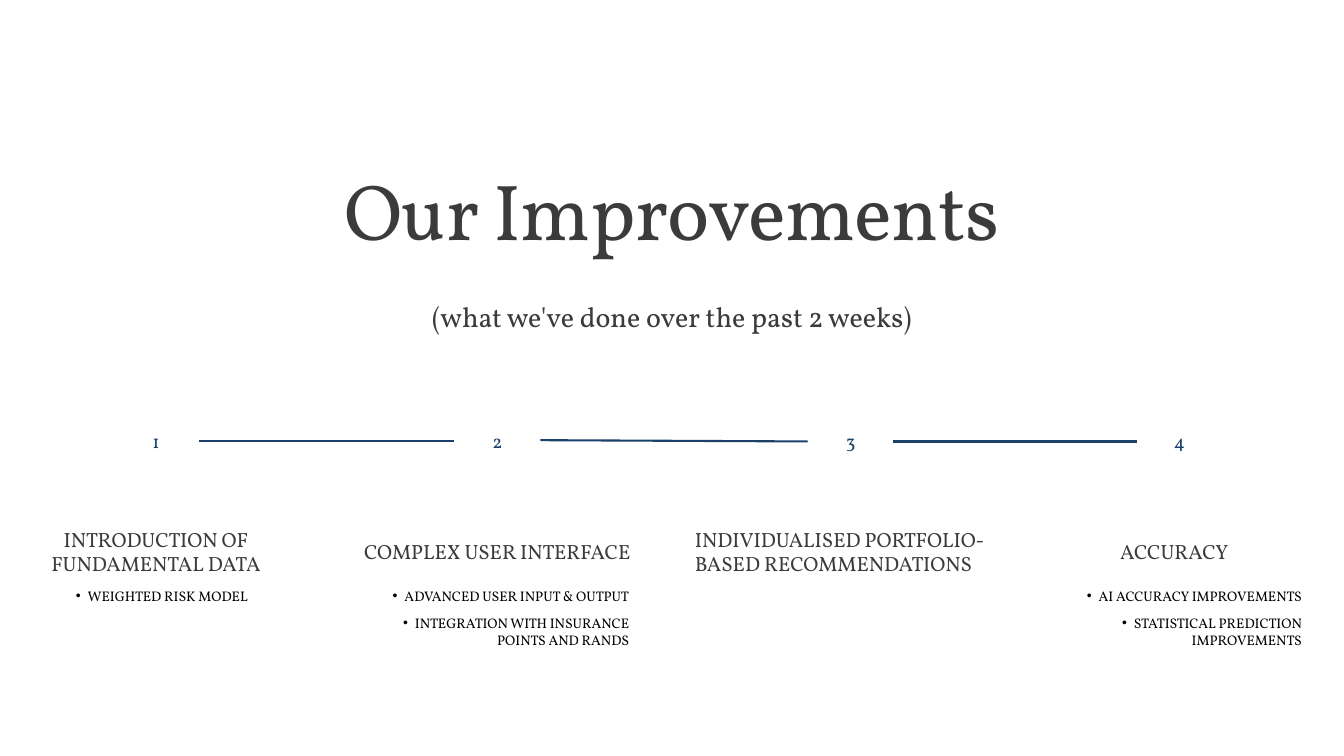
from lxml import etree
from pptx import Presentation
from pptx.dml.color import RGBColor
from pptx.enum.shapes import MSO_CONNECTOR
from pptx.enum.text import MSO_AUTO_SIZE, PP_ALIGN
from pptx.oxml.ns import qn
from pptx.util import Pt

LEFT, CENTER, RIGHT = PP_ALIGN.LEFT, PP_ALIGN.CENTER, PP_ALIGN.RIGHT
STRAIGHT = MSO_CONNECTOR.STRAIGHT
FIT_SHAPE = MSO_AUTO_SIZE.SHAPE_TO_FIT_TEXT

FONT = "Vollkorn"
GREY, NAVY, BLACK = "3B3B3B", "1B406A", "000000"


def color(value):
    return RGBColor.from_string(value)


class SlideBuilder:
    def __init__(self, slide):
        self.slide = slide

    def text(self, words, left, top, width, height, size, spacing,
             fill=GREY, align=CENTER, bullet=False, tracking=None):
        shape = self.slide.shapes.add_textbox(Pt(left), Pt(top), Pt(width), Pt(height))
        frame = shape.text_frame
        frame.word_wrap = True
        frame.auto_size = FIT_SHAPE
        frame.margin_left = frame.margin_top = 0
        frame.margin_right = frame.margin_bottom = 0
        paragraph = frame.paragraphs[0]
        paragraph.alignment = align
        paragraph.line_spacing = Pt(spacing)
        if bullet:
            paragraph.level = 1
            properties = paragraph._p.get_or_add_pPr()
            properties.set("marL", str(Pt(25.2)))
            properties.set("indent", str(Pt(-12.6)))
            etree.SubElement(properties, qn("a:buFont")).set("typeface", "Arial")
            etree.SubElement(properties, qn("a:buChar")).set("char", "•")
        run = paragraph.add_run()
        run.text = words
        run.font.name = FONT
        run.font.size = Pt(size)
        run.font.color.rgb = color(fill)
        if tracking is not None:
            run._r.get_or_add_rPr().set("spc", str(round(tracking * 100)))

    def number(self, value, left, top):
        self.text(str(value), left, top, 66.2, 24.5, 20, 24, NAVY)

    def heading(self, words, left, width, lines=1, align=CENTER):
        height = 26.3 * lines
        self.text(words, left, 590.6 - height / 2, width, height, 22, 26.4, align=align)

    def bullet(self, words, left, top, width, lines=1, align=RIGHT):
        self.text(words, left, top, width, 16.9 * lines, 14.9, 17.9, BLACK, align, bullet=True)

    def line(self, x1, y1, x2, y2):
        connector = self.slide.shapes.add_connector(STRAIGHT, Pt(x1), Pt(y1), Pt(x2), Pt(y2))
        connector.line.color.rgb = color(NAVY)
        connector.line.width = Pt(2.25)
        etree.SubElement(connector._element.spPr, qn("a:effectLst"))


def main():
    presentation = Presentation()
    presentation.slide_width = Pt(1440)
    presentation.slide_height = Pt(810)
    builder = SlideBuilder(presentation.slides.add_slide(presentation.slide_layouts[6]))

    builder.text("Our Improvements", 272, 181.5, 896, 96.5, 85, 93.5, tracking=-0.8)
    builder.text("(what we've done over the past 2 weeks)", 272, 314.6, 896, 39.6, 30, 42)

    numbers = [(133.9, 460.1), (499.7, 460.8), (878.4, 460.8), (1230.5, 460.1)]
    for value, (left, top) in enumerate(numbers, start=1):
        builder.number(value, left, top)

    for ends in [(213.1, 472.3, 486.7, 472.3),
                 (578.9, 471.6, 865.4, 473),
                 (956.9, 473, 1218.2, 473)]:
        builder.line(*ends)

    builder.heading("INTRODUCTION OF FUNDAMENTAL DATA", 0, 334, lines=2)
    builder.heading("COMPLEX USER INTERFACE", 365.8, 334)
    builder.heading("INDIVIDUALISED PORTFOLIO-BASED RECOMMENDATIONS", 744.5, 334,
                    lines=2, align=LEFT)
    builder.heading("ACCURACY", 1200.2, 128.2, align=LEFT)

    first, second = 629.3, 658.8
    builder.bullet("WEIGHTED RISK MODEL", 65.5, first, 203, align=CENTER)
    builder.bullet("ADVANCED USER INPUT & OUTPUT", 393.1, first, 280.8)
    builder.bullet("INTEGRATION WITH INSURANCE POINTS AND RANDS", 393.1, second, 280.8, lines=2)
    builder.bullet("AI ACCURACY IMPROVEMENTS", 1133.3, first, 261.4)
    builder.bullet("STATISTICAL PREDICTION IMPROVEMENTS", 1133.3, second, 261.4, lines=2)

    presentation.save("out.pptx")


if __name__ == "__main__":
    main()
